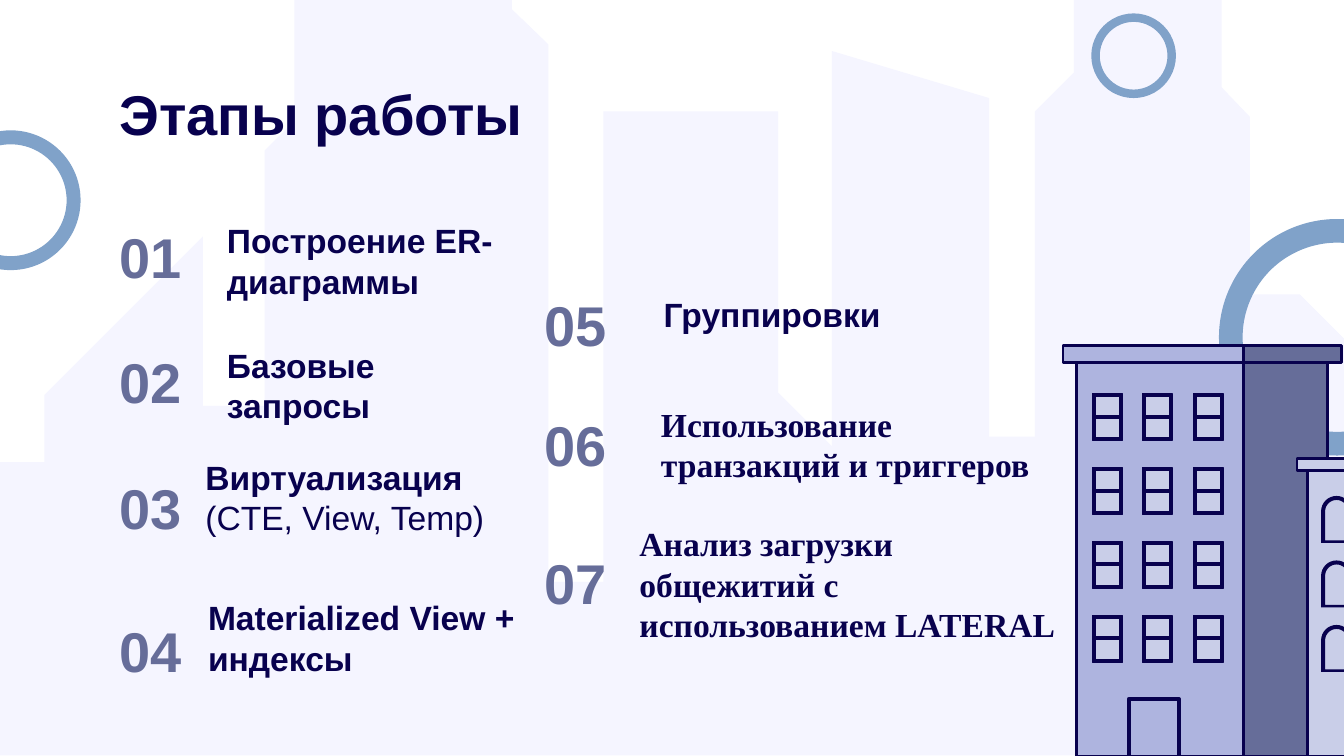
"""Build the work-stages slide with a skyline, numbered steps and two buildings."""
from dataclasses import dataclass
from math import cos, pi, sin
from typing import Optional

from pptx import Presentation, util as u
from pptx.dml.color import RGBColor
from pptx.enum import shapes, text

PX = u.Inches(1) // 100


@dataclass(frozen=True)
class Theme:
    ink: str = "08014E"
    slate: str = "666D99"
    ring: str = "80A2C9"
    skyline: str = "F5F5FF"
    wall: str = "AEB4DF"
    glass: str = "C9CEE8"
    sans: str = "Arial"
    serif: str = "Times New Roman"
    heading: int = 30
    body: int = 18
    spacing: float = 1.0
    wall_line: float = 1.5
    window_line: float = 0.75
    door_line: float = 2.25


T = Theme()


@dataclass(frozen=True)
class Box:
    x: int
    y: int
    w: int
    h: int


@dataclass(frozen=True)
class Run:
    text: str
    size: int = T.body
    color: str = T.ink
    font: str = T.sans
    bold: bool = True


@dataclass(frozen=True)
class Step:
    number: str
    x: int
    y: int
    label: Box
    runs: tuple[Run, ...]
    bottom: int = 10


@dataclass(frozen=True)
class Block:
    box: Box
    fill: str


SKYLINE = (
    (1000, 562), (1000, 252), (967, 219), (930, 219), (930, 87), (909, 65), (909, -10),
    (799, -10), (799, 54), (770, 83), (770, 325), (736, 325), (736, 73), (619, 38),
    (619, 332), (579, 292), (579, 83), (449, 83), (449, 433), (408, 433), (408, 33),
    (381, 7), (381, -69), (219, -69), (219, 90), (197, 112), (197, 302), (151, 302),
    (151, 176), (33, 294), (33, 344), (0, 344), (0, 562),
)
RINGS = (Box(907, 163, 176, 176), Box(-44, 97, 104, 104), Box(812, 10, 63, 63))
STEPS = (
    Step("01", 79, 154, Box(159, 167, 230, 84), (Run("Построение ER-диаграммы"),), 40),
    Step("02", 79, 247, Box(159, 250, 235, 73), (Run("Базовые запросы"),)),
    Step("03", 79, 341, Box(143, 331, 252, 78),
         (Run("Виртуализация "), Run("(CTE, View, Temp)", bold=False))),
    Step("04", 79, 447, Box(145, 438, 277, 73), (Run("Materialized View + индексы"),)),
    Step("05", 395, 205, Box(484, 197, 230, 73), (Run("Группировки"),)),
    Step("06", 395, 294, Box(482, 294, 303, 73),
         (Run("Использование транзакций и триггеров", font=T.serif),)),
    Step("07", 395, 397, Box(466, 398, 330, 73),
         (Run("Анализ загрузки общежитий с использованием LATERAL", font=T.serif),)),
)
TOWER = (
    Block(Box(801, 270, 124, 293), T.wall),
    Block(Box(925, 270, 63, 293), T.slate),
    Block(Box(791, 257, 134, 13), T.wall),
    Block(Box(925, 257, 73, 13), T.slate),
)
ANNEX = (
    Block(Box(973, 350, 89, 213), T.glass),
    Block(Box(965, 341, 96, 9), T.glass),
)


def paint(sp, fill: Optional[str], line: Optional[str] = None, width: float = 0) -> None:
    """Set the fill and outline of a shape and drop its shadow."""
    sp.shadow.inherit = False
    if fill:
        sp.fill.solid()
        sp.fill.fore_color.rgb = RGBColor.from_string(fill)
    else:
        sp.fill.background()
    if line:
        sp.line.color.rgb = RGBColor.from_string(line)
        sp.line.width = u.Pt(width)
    else:
        sp.line.fill.background()


def add_preset(parent, kind, box: Box):
    """Add a preset shape over a box."""
    return parent.add_shape(kind, box.x * PX, box.y * PX, box.w * PX, box.h * PX)


def add_outline(parent, *contours, close: bool = True):
    """Add a freeform made of one or more contours."""
    first, *rest = [[(round(x * PX), round(y * PX)) for x, y in c] for c in contours]
    fb = parent.build_freeform(*first[0], scale=1.0)
    fb.add_line_segments(first[1:], close=close)
    for c in rest:
        fb.move_to(*c[0])
        fb.add_line_segments(c[1:], close=close)
    return fb.convert_to_shape()


def add_text(parent, box: Box, runs: tuple[Run, ...],
             anchor=text.MSO_ANCHOR.MIDDLE, bottom: int = 10) -> None:
    """Add a wrapped text box run by run."""
    tf = parent.add_textbox(box.x * PX, box.y * PX, box.w * PX, box.h * PX).text_frame
    tf.word_wrap = True
    tf.vertical_anchor = anchor
    tf.margin_left = tf.margin_right = tf.margin_top = 10 * PX
    tf.margin_bottom = bottom * PX
    p = tf.paragraphs[0]
    p.line_spacing = T.spacing
    for run in runs:
        r = p.add_run()
        r.text = run.text
        r.font.name, r.font.size, r.font.bold = run.font, u.Pt(run.size), run.bold
        r.font.color.rgb = RGBColor.from_string(run.color)


def add_block(parent, block: Block, width: float = T.wall_line) -> None:
    """Add an outlined rectangle."""
    paint(add_preset(parent, shapes.MSO_SHAPE.RECTANGLE, block.box), block.fill, T.ink, width)


def corners(box: Box) -> list[tuple[int, int]]:
    """Return the corners of a box in order."""
    r, b = box.x + box.w, box.y + box.h
    return [(box.x, box.y), (r, box.y), (r, b), (box.x, b)]


def add_window(parent, x: int, y: int) -> None:
    """Add a pane, its frame and its crossbar."""
    add_block(parent, Block(Box(x, y, 20, 33), T.glass), T.window_line)
    frame = add_outline(parent, corners(Box(x - 1, y - 1, 22, 35)),
                        corners(Box(x + 1, y + 1, 18, 31)))
    paint(frame, T.ink, T.ink, T.window_line)
    add_block(parent, Block(Box(x, y + 15, 20, 2), T.ink), T.window_line)


def arch(box: Box, steps: int = 16) -> list[tuple[float, float]]:
    """Return the points of a box with a half-round top."""
    rad = box.w / 2
    top = [(box.x + rad - rad * cos(pi * i / steps), box.y + rad - rad * sin(pi * i / steps))
           for i in range(steps + 1)]
    return top + [(box.x + box.w, box.y + box.h), (box.x, box.y + box.h)]


def add_buildings(parent) -> None:
    """Add the tower with its windows and door, then the annex."""
    for block in TOWER:
        add_block(parent, block)
    for row in range(4):
        for col in range(3):
            add_window(parent, 814 + col * 75 // 2, 294 + row * 55)
    door = add_outline(parent, [(840, 562), (840, 520), (877, 520), (877, 562)], close=False)
    paint(door, None, T.ink, T.door_line)
    for block in ANNEX:
        add_block(parent, block)
    for row in range(3):
        y = 369 + row * 48
        paint(add_outline(parent, arch(Box(983, y, 23, 35)), arch(Box(986, y + 3, 17, 30))), T.ink)


def main() -> None:
    """Build and save the slide."""
    prs = Presentation()
    prs.slide_width = 1000 * PX
    prs.slide_height = prs.slide_width * 9 // 16
    s = prs.slides.add_slide(prs.slide_layouts[6])
    paint(add_outline(s.shapes, SKYLINE), T.skyline)
    for box in RINGS:
        sp = add_preset(s.shapes, shapes.MSO_SHAPE.DONUT, box)
        sp.adjustments[0] = 0.1
        paint(sp, T.ring)
    add_text(s.shapes, Box(79, 49, 843, 63), (Run("Этапы работы", T.heading),),
             text.MSO_ANCHOR.TOP)
    for step in STEPS:
        add_text(s.shapes, Box(step.x, step.y, 80, 73), (Run(step.number, T.heading, T.slate),))
        add_text(s.shapes, step.label, step.runs, bottom=step.bottom)
    add_buildings(s.shapes.add_group_shape().shapes)
    prs.save("out.pptx")


if __name__ == "__main__":
    main()
